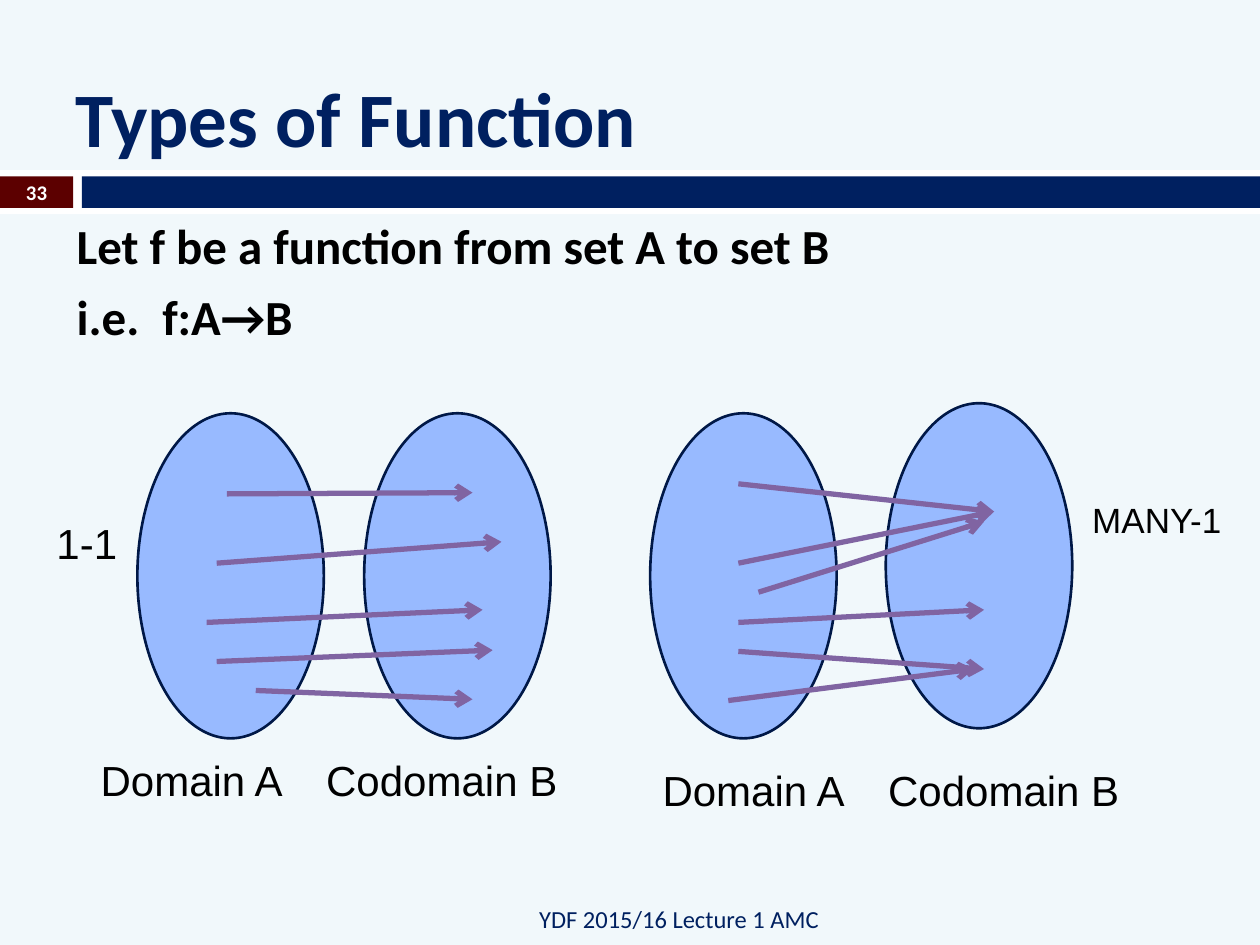
from pptx import Presentation, util as u
from pptx.dml.color import RGBColor
from pptx.enum import shapes, text
from pptx.oxml.ns import qn
from lxml import etree

W, H = 10, 7.5
C = {"bg": "F1F8FB", "white": "FFFFFF", "red": "5C0000", "navy": "002060",
     "black": "000000", "oval": "98BAFF", "edge": "001847", "arrow": "8064A2"}
LEFT, CENTER, RIGHT = text.PP_ALIGN.LEFT, text.PP_ALIGN.CENTER, text.PP_ALIGN.RIGHT
TOP, MIDDLE = text.MSO_ANCHOR.TOP, text.MSO_ANCHOR.MIDDLE

# Content
TITLE = "Types of Function"
BODY = ["Let f be a function from set A to set B", "i.e.\tf:A→B"]
FOOTER = "YDF 2015/16 Lecture 1 AMC"
NUMBER = "33"
SET_NAMES = "Domain A\tCodomain B"

# Each mapping: oval corners, place of the set names, side label, arrows (from, to)
MAPPINGS = [
    {"ovals": [(1.09, 3.28), (2.89, 3.28)], "names": (0.7, 5.94),
     "label": ("1-1", 24, (0.35, 4.06, 1.1, 0.5)),
     "arrows": [((1.8, 3.92), (3.75, 3.91)), ((1.72, 4.47), (3.98, 4.3)),
                ((1.64, 4.94), (3.83, 4.84)), ((1.72, 5.25), (3.91, 5.16)),
                ((2.03, 5.48), (3.75, 5.55))]},
    {"ovals": [(5.16, 3.28), (7.03, 3.2)], "names": (5.16, 6.02),
     "label": ("MANY-1", 20, (8.57, 3.91, 1.43, 0.44)),
     "arrows": [((6.02, 4.7), (7.81, 4.14)), ((5.78, 5.56), (7.73, 5.31)),
                ((5.86, 5.17), (7.81, 5.31)), ((5.86, 4.94), (7.81, 4.84)),
                ((5.86, 4.47), (7.89, 4.06)), ((5.86, 3.84), (7.89, 4.06))]},
]
OVAL = (1.48, 2.58)
NAMES = (3.91, 0.5)

# Band under the title
BAND_TOP, BAND_H, RIM = 1.4, 0.25, 0.05
NUM_W, BAR_X = 0.58, 0.65

prs = Presentation()
prs.slide_width, prs.slide_height = u.Inches(W), u.Inches(H)
s = prs.slides.add_slide(prs.slide_layouts[6])
s.background.fill.solid()
s.background.fill.fore_color.rgb = RGBColor.from_string(C["bg"])


def add_shape(kind, box, fill, edge=None):
    sp = s.shapes.add_shape(kind, *map(u.Inches, box))
    sp.shadow.inherit = False
    sp.fill.solid()
    sp.fill.fore_color.rgb = RGBColor.from_string(C[fill])
    if edge:
        sp.line.color.rgb = RGBColor.from_string(C[edge])
        sp.line.width = u.Pt(1.5)
    else:
        sp.line.fill.background()


def add_text(box, lines, size, color="black", font="Calibri", bold=False,
             align=LEFT, anchor=TOP, gap=0, tab=None, margin=0.1):
    tf = s.shapes.add_textbox(*map(u.Inches, box)).text_frame
    tf.word_wrap = True
    tf.vertical_anchor = anchor
    tf.margin_left = tf.margin_right = u.Inches(margin)
    for i, line in enumerate(lines):
        p = tf.paragraphs[0] if i == 0 else tf.add_paragraph()
        if tab:
            tabs = etree.SubElement(p._p.get_or_add_pPr(), qn("a:tabLst"))
            etree.SubElement(tabs, qn("a:tab"), pos=str(u.Inches(tab)), algn="l")
        p.alignment = align
        if i:
            p.space_before = u.Pt(gap)
        r = p.add_run()
        r.text = line
        r.font.name, r.font.size, r.font.bold = font, u.Pt(size), bold
        r.font.color.rgb = RGBColor.from_string(C[color])


def add_arrow(start, end):
    ln = s.shapes.add_connector(shapes.MSO_CONNECTOR.STRAIGHT,
                                *map(u.Inches, start + end))
    ln.line.color.rgb = RGBColor.from_string(C["arrow"])
    ln.line.width = u.Pt(3)
    etree.SubElement(ln.line._get_or_add_ln(), qn("a:tailEnd"), type="arrow")
    etree.SubElement(ln._element.spPr, qn("a:effectLst"))


# Band, title, body and footer
RECT = shapes.MSO_SHAPE.RECTANGLE
add_shape(RECT, (0, BAND_TOP - RIM, W, BAND_H + 2 * RIM), "white")
add_shape(RECT, (0, BAND_TOP, NUM_W, BAND_H), "red")
add_shape(RECT, (BAR_X, BAND_TOP, W - BAR_X, BAND_H), "navy")
add_text((0.5, 0.3, 9, 1.25), [TITLE], 44, "navy", bold=True, anchor=MIDDLE)
add_text((0.51, 1.66, 8.43, 1.34), BODY, 28, bold=True, gap=7, tab=0.68)
add_text((0.67, 7.09, 5.93, 0.4), [FOOTER], 14, "navy", align=RIGHT, anchor=MIDDLE)
add_text((0, BAND_TOP, NUM_W, BAND_H), [NUMBER], 11.9, "white", bold=True,
         align=CENTER, anchor=MIDDLE, margin=0)

# Mapping diagrams
for m in MAPPINGS:
    label, size, box = m["label"]
    add_text(box, [label], size, font="Arial")
    for corner in m["ovals"]:
        add_shape(shapes.MSO_SHAPE.OVAL, corner + OVAL, "oval", "edge")
    add_text(m["names"] + NAMES, [SET_NAMES], 24, font="Arial", tab=1.79)
    for start, end in m["arrows"]:
        add_arrow(start, end)

prs.save("out.pptx")
